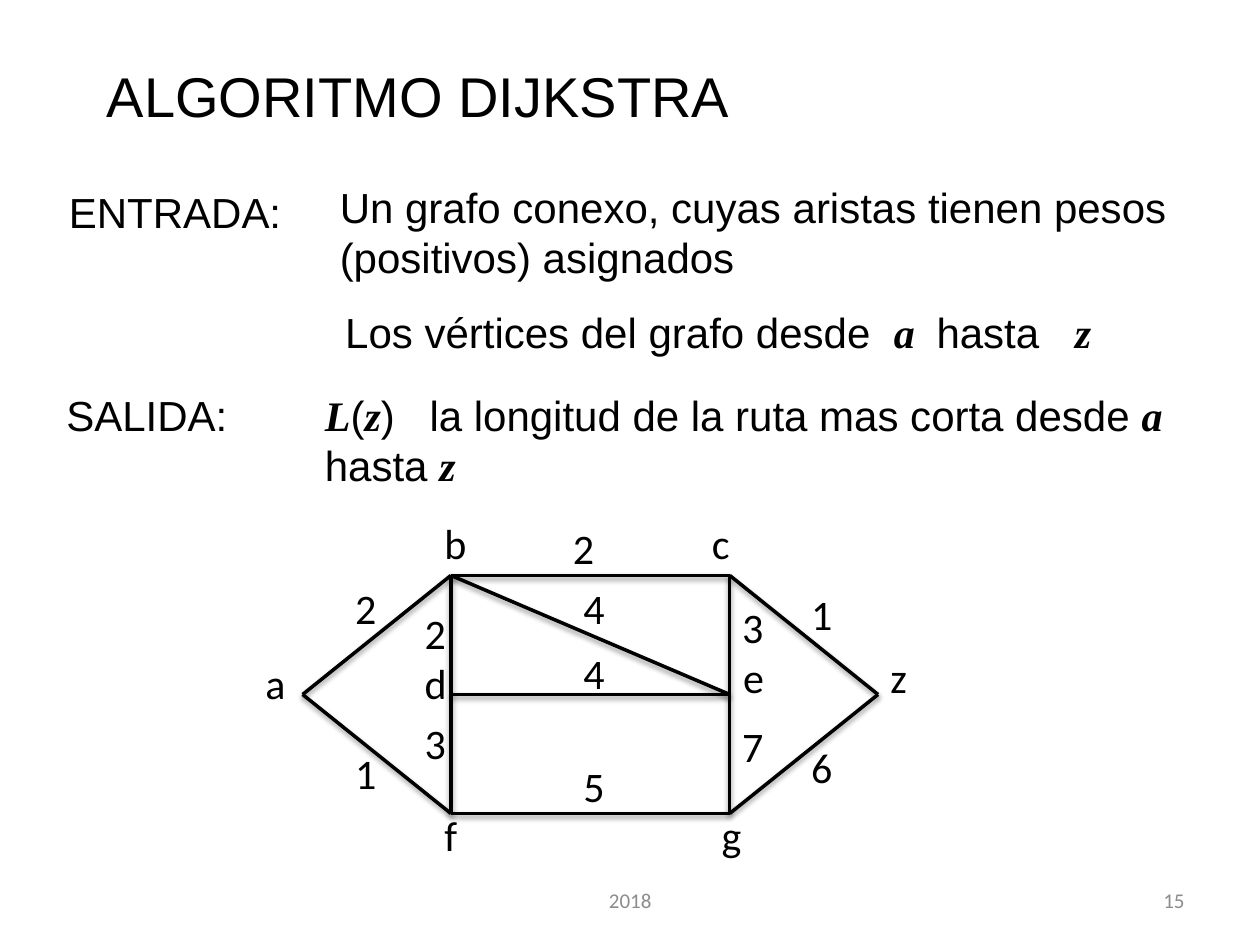
from dataclasses import dataclass

from lxml import etree
from pptx import Presentation
from pptx import util as u
from pptx.dml.color import RGBColor
from pptx.enum import shapes, text
from pptx.oxml import ns


@dataclass(frozen=True)
class Theme:
    ink: str = "000000"
    muted: str = "8C8C8C"
    body_font: str = "Arial"
    math_font: str = "Times New Roman"
    graph_font: str = "Calibri"
    title_size: int = 32
    body_size: int = 24
    footer_size: int = 12
    edge_width: int = 2


THEME = Theme()


def add_span(para, words, font=THEME.body_font, size=THEME.body_size,
             color=THEME.ink, strong=False):
    """Append formatted text; strong means bold italic."""
    span = para.add_run()
    span.text = words
    span.font.name = font
    span.font.size = u.Pt(size)
    span.font.bold = span.font.italic = strong
    span.font.color.rgb = RGBColor.from_string(color)


def add_tabs(para, stops):
    tab_list = etree.SubElement(para._p.get_or_add_pPr(), ns.qn("a:tabLst"))
    for stop in stops:
        etree.SubElement(tab_list, ns.qn("a:tab"), pos=str(u.Cm(stop)), algn="l")


def add_soft_shadow(connector):
    effects = etree.SubElement(connector._element.spPr, ns.qn("a:effectLst"))
    shadow = etree.SubElement(
        effects, ns.qn("a:outerShdw"), blurRad=str(u.Pt(3.1)),
        dist=str(u.Pt(1.6)), dir="5400000", rotWithShape="0")
    color = etree.SubElement(shadow, ns.qn("a:srgbClr"), val=THEME.ink)
    etree.SubElement(color, ns.qn("a:alpha"), val="38000")


class SlideBuilder:
    def __init__(self, page, theme):
        self.page = page
        self.theme = theme

    def title(self, words, left, top, width, height):
        box = self.page.shapes.title
        box.left, box.top, box.width, box.height = map(
            u.Cm, (left, top, width, height))
        frame = box.text_frame
        frame.vertical_anchor = text.MSO_ANCHOR.TOP
        frame.auto_size = text.MSO_AUTO_SIZE.SHAPE_TO_FIT_TEXT
        para = frame.paragraphs[0]
        para.alignment = text.PP_ALIGN.LEFT
        add_span(para, words, size=self.theme.title_size)

    def text_box(self, left, top, width, height, anchor=text.MSO_ANCHOR.TOP,
                 align=text.PP_ALIGN.LEFT):
        box = self.page.shapes.add_textbox(*map(u.Cm, (left, top, width, height)))
        frame = box.text_frame
        frame.word_wrap = True
        frame.vertical_anchor = anchor
        para = frame.paragraphs[0]
        para.alignment = align
        return para

    def statement(self, parts, left, top, width, height=1.27, tabs=()):
        """Write body text; every second part is a variable."""
        para = self.text_box(left, top, width, height)
        if tabs:
            add_tabs(para, tabs)
        for index, words in enumerate(parts):
            if not words:
                continue
            variable = index % 2 == 1
            font = self.theme.math_font if variable else self.theme.body_font
            add_span(para, words, font=font, strong=variable)

    def edge(self, start, end):
        line = self.page.shapes.add_connector(
            shapes.MSO_CONNECTOR.STRAIGHT, *map(u.Cm, (*start, *end)))
        line.line.color.rgb = RGBColor.from_string(self.theme.ink)
        line.line.width = u.Pt(self.theme.edge_width)
        add_soft_shadow(line)

    def graph_label(self, words, left, top):
        para = self.text_box(left, top, 1.19, 1.27)
        add_span(para, words, font=self.theme.graph_font)

    def footer(self, words, left, width, align):
        para = self.text_box(left, 17.65, width, 1.01,
                             text.MSO_ANCHOR.MIDDLE, align)
        add_span(para, words, font=self.theme.graph_font,
                 size=self.theme.footer_size, color=self.theme.muted)


# Graph grid: columns and rows in cm
FAR_LEFT, LEFT, RIGHT, FAR_RIGHT = 6.1, 9.09, 14.71, 17.7
TOP, MIDDLE, BOTTOM = 11.6, 14, 16.4

VERTICES = {
    "a": (FAR_LEFT, MIDDLE), "b": (LEFT, TOP), "c": (RIGHT, TOP),
    "d": (LEFT, MIDDLE), "e": (RIGHT, MIDDLE), "f": (LEFT, BOTTOM),
    "g": (RIGHT, BOTTOM), "z": (FAR_RIGHT, MIDDLE),
}
# b-f passes through d, and c-g through e
EDGES = "bc de fg bf cg be ab af gz cz".split()

VERTEX_LABELS = [
    ("a", 5.1, 13.13), ("b", 8.71, 10.31), ("c", 14.1, 10.31),
    ("d", 8.31, 13.13), ("f", 8.71, 16.2), ("g", 14.3, 16.2),
    ("e", 14.73, 13), ("z", 17.7, 13),
]
WEIGHT_LABELS = [
    ("2", 6.91, 11.61), ("2", 8.31, 12.12), ("2", 11.3, 10.41),
    ("1", 6.91, 14.94), ("1", 16.1, 11.73), ("4", 11.51, 11.61),
    ("4", 11.51, 12.93), ("5", 11.51, 15.21), ("3", 14.71, 12.01),
    ("7", 14.71, 14.4), ("6", 16.1, 14.83), ("3", 8.31, 14.33),
]


def main():
    deck = Presentation()
    deck.slide_width, deck.slide_height = u.Cm(25.4), u.Cm(19.05)
    page = deck.slides.add_slide(deck.slide_layouts[5])
    builder = SlideBuilder(page, THEME)

    # Heading
    builder.title("ALGORITMO DIJKSTRA", 1.9, 1.12, 15.01, 1.63)

    # Input and output of the algorithm
    builder.statement(["ENTRADA:"], 1.14, 3.63, 4.95)
    builder.statement(
        ["Un grafo conexo, cuyas aristas tienen pesos (positivos) asignados"],
        6.6, 3.53, 20.3, 2.31)
    builder.statement(
        ["Los vértices del grafo desde\t", "a", "\thasta\t", "z"],
        6.71, 6.05, 16, tabs=(11.06, 11.92, 14.71))
    builder.statement(["SALIDA:"], 1.09, 7.72, 4.19)
    builder.statement(
        ["", "L", "(", "z", ")\tla longitud de la ruta mas corta desde ", "a",
         " hasta ", "z"],
        6.3, 7.72, 19.6, 2.31, tabs=(2.11,))

    # Weighted graph
    for start, end in EDGES:
        builder.edge(VERTICES[start], VERTICES[end])
    for label in VERTEX_LABELS + WEIGHT_LABELS:
        builder.graph_label(*label)

    # Footer
    builder.footer("2018", 8.68, 8.05, text.PP_ALIGN.CENTER)
    builder.footer("15", 18.21, 5.92, text.PP_ALIGN.RIGHT)

    deck.save("out.pptx")


if __name__ == "__main__":
    main()
